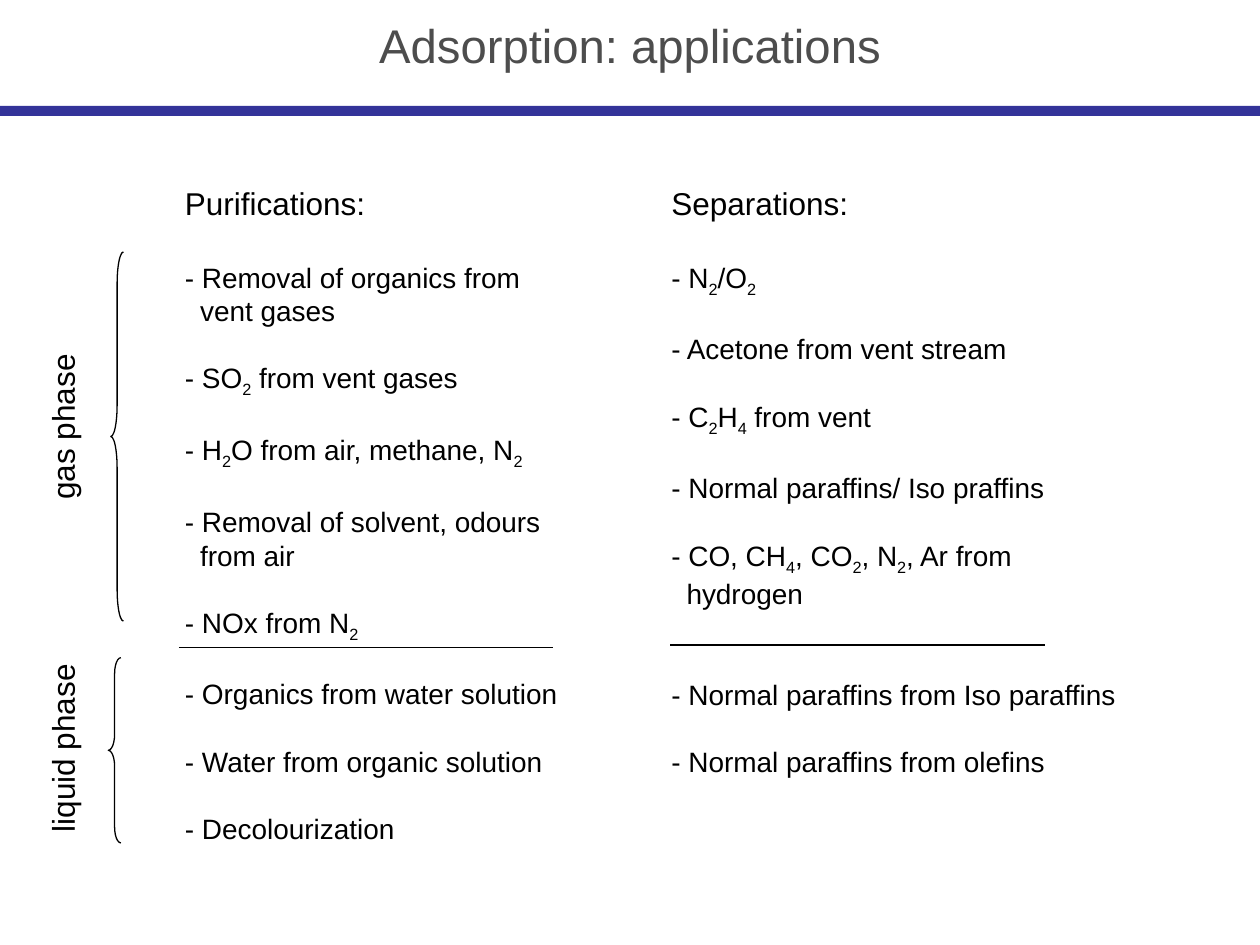
from itertools import groupby

from pptx import Presentation
from pptx.dml.color import RGBColor
from pptx.enum.shapes import MSO_CONNECTOR, MSO_SHAPE
from pptx.enum.text import MSO_ANCHOR, PP_ALIGN
from pptx.oxml.ns import qn
from pptx.util import Inches, Pt
from lxml import etree

LEFT_BRACE, RECTANGLE = MSO_SHAPE.LEFT_BRACE, MSO_SHAPE.RECTANGLE
STRAIGHT = MSO_CONNECTOR.STRAIGHT
CENTER, LEFT = PP_ALIGN.CENTER, PP_ALIGN.LEFT
MIDDLE = MSO_ANCHOR.MIDDLE

COLORS = {"title": "4D4D4D", "rule": "333399", "ink": "000000"}
FONT = "Arial"
HEADING_GAP, ITEM_GAP = 22, 19.2
HANGING = Inches(0.12)

PURIFICATIONS_GAS = [
    "- Removal of organics from\nvent gases",
    "- SO2 from vent gases",
    "- H2O from air, methane, N2",
    "- Removal of solvent, odours\nfrom air",
    "- NOx from N2",
]
PURIFICATIONS_LIQUID = [
    "- Organics from water solution",
    "- Water from organic solution",
    "- Decolourization",
]
SEPARATIONS_GAS = [
    "- N2/O2",
    "- Acetone from vent stream",
    "- C2H4 from vent",
    "- Normal paraffins/ Iso praffins",
    "- CO, CH4, CO2, N2, Ar from\nhydrogen",
]
SEPARATIONS_LIQUID = [
    "- Normal paraffins from Iso paraffins",
    "- Normal paraffins from olefins",
]


def rgb(name):
    return RGBColor.from_string(COLORS[name])


def write(paragraph, text, size=16, color="ink", align=LEFT, before=0, hanging=0):
    """Fill a paragraph; digits become subscripts, newlines become line breaks."""
    if hanging:
        properties = paragraph._p.get_or_add_pPr()
        properties.set("marL", str(hanging))
        properties.set("indent", str(-hanging))
    paragraph.alignment = align
    paragraph.space_before = Pt(before)
    for number, line in enumerate(text.split("\n")):
        if number:
            paragraph.add_line_break()
        for is_subscript, characters in groupby(line, str.isdigit):
            run = paragraph.add_run()
            run.text = "".join(characters)
            run.font.name, run.font.size = FONT, Pt(size)
            run.font.color.rgb = rgb(color)
            if is_subscript:
                run._r.get_or_add_rPr().set("baseline", "-25000")


def add_title(slide, text):
    title = slide.shapes.title
    title.left, title.top = Inches(0), Inches(0.02)
    title.width, title.height = Inches(10), Inches(0.66)
    title.text_frame.vertical_anchor = MIDDLE
    write(title.text_frame.paragraphs[0], text, size=27, color="title", align=CENTER)


def add_text_frame(slide, left, top, width, height, rotation=0):
    box = slide.shapes.add_textbox(
        Inches(left), Inches(top), Inches(width), Inches(height))
    box.rotation = rotation
    box.text_frame.word_wrap = False
    return box.text_frame


def add_column(slide, left, width, height, heading, gas, liquid, phase_gap):
    frame = add_text_frame(slide, left, 1.41, width, height)
    write(frame.paragraphs[0], heading, size=18)
    gaps = ([HEADING_GAP] + [ITEM_GAP] * (len(gas) - 1)
            + [phase_gap] + [ITEM_GAP] * (len(liquid) - 1))
    for item, gap in zip(gas + liquid, gaps):
        write(frame.add_paragraph(), item, before=gap, hanging=HANGING)


def add_divider(slide, left, top):
    divider = slide.shapes.add_connector(
        STRAIGHT, Inches(left), Inches(top), Inches(left + 2.97), Inches(top))
    divider.line.color.rgb = rgb("ink")
    divider.line.width = Pt(0.75)
    etree.SubElement(divider._element.spPr, qn("a:effectLst"))


def add_shape(slide, kind, left, top, width, height):
    shape = slide.shapes.add_shape(
        kind, Inches(left), Inches(top), Inches(width), Inches(height))
    shape.shadow.inherit = False
    return shape


def add_title_rule(slide):
    rule = add_shape(slide, RECTANGLE, 0, 0.84, 10, 0.08)
    rule.fill.solid()
    rule.fill.fore_color.rgb = rgb("rule")
    rule.line.fill.background()


def add_brace(slide, left, top, height, curve):
    brace = add_shape(slide, LEFT_BRACE, left, top, 0.1, height)
    brace.adjustments[0] = curve
    brace.adjustments[1] = 0.5
    brace.fill.background()
    brace.line.color.rgb = rgb("ink")
    brace.line.width = Pt(0.75)


def add_phase_label(slide, text, left, top, width):
    frame = add_text_frame(slide, left, top, width, 0.4, rotation=270)
    write(frame.paragraphs[0], text, size=18)


def main():
    presentation = Presentation()
    presentation.slide_width, presentation.slide_height = Inches(10), Inches(7.5)
    slide = presentation.slides.add_slide(presentation.slide_layouts[5])

    # Title and rule
    add_title(slide, "Adsorption: applications")
    add_title_rule(slide)

    # Application columns, each split into gas and liquid phase
    add_column(slide, 1.37, 3.17, 5.25, "Purifications:",
               PURIFICATIONS_GAS, PURIFICATIONS_LIQUID, ITEM_GAP)
    add_divider(slide, 1.42, 5.14)
    add_column(slide, 5.23, 3.75, 4.71, "Separations:",
               SEPARATIONS_GAS, SEPARATIONS_LIQUID, 2 * ITEM_GAP)
    add_divider(slide, 5.32, 5.12)

    # Phase braces and their labels, with room for each label on one line
    add_brace(slide, 0.88, 2, 2.93, 2.51)
    add_phase_label(slide, "gas phase", -0.28, 3.09, 1.55)
    add_brace(slide, 0.86, 5.22, 1.47, 1.26)
    add_phase_label(slide, "liquid phase", -0.37, 5.64, 1.73)

    presentation.save("out.pptx")


if __name__ == "__main__":
    main()
